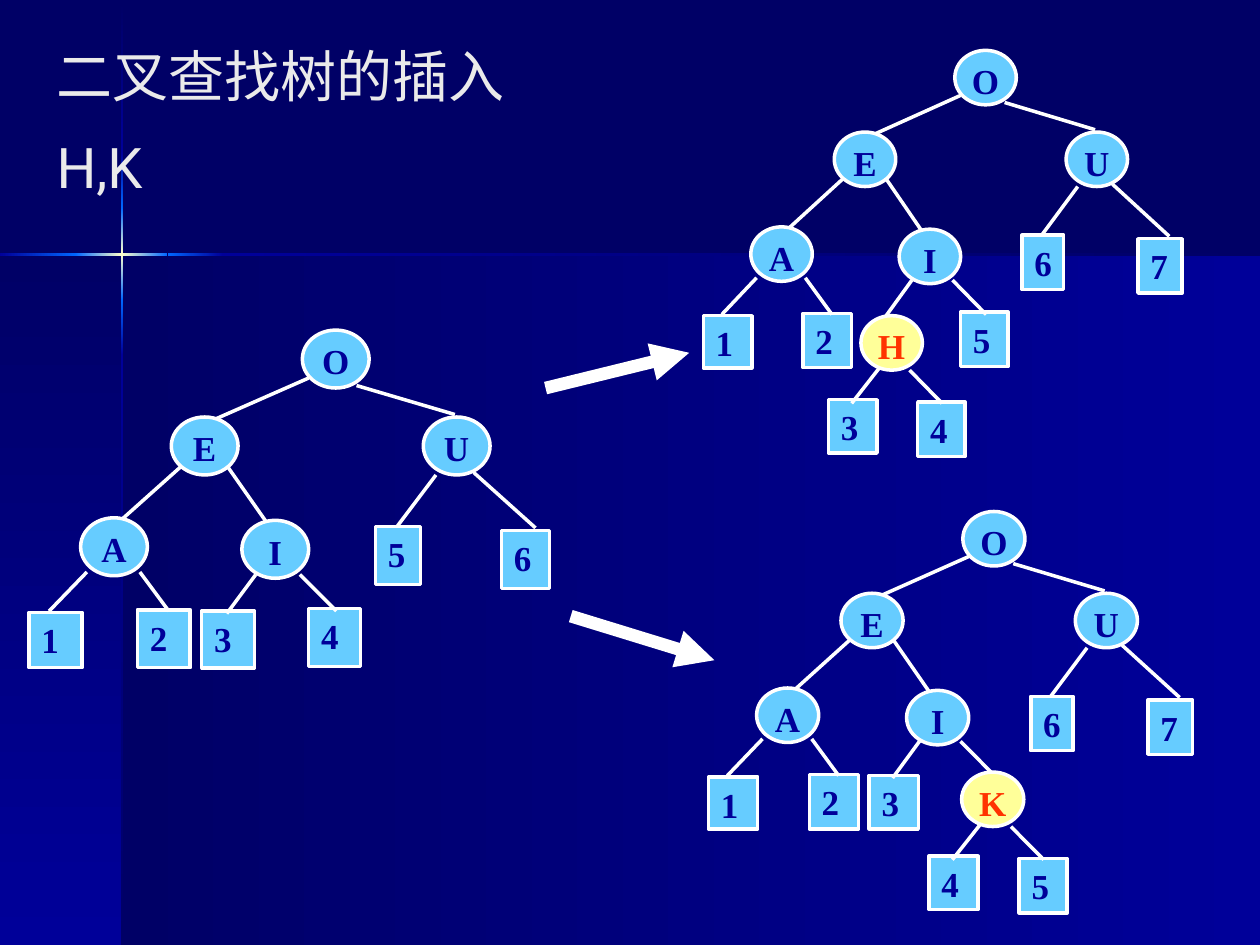
import lxml.etree
import pptx
import pptx.dml.color
import pptx.enum.shapes
import pptx.enum.text
import pptx.oxml.ns
import pptx.util

Inches = pptx.util.Inches
Pt = pptx.util.Pt
RGBColor = pptx.dml.color.RGBColor
SHAPE = pptx.enum.shapes.MSO_SHAPE
qn = pptx.oxml.ns.qn

NIGHT = RGBColor(0x00, 0x00, 0x66)
NAVY = RGBColor(0x00, 0x00, 0x99)
BLUE = RGBColor(0x00, 0x66, 0xFF)
CREAM = RGBColor(0xFF, 0xFF, 0xCC)
WHITE = RGBColor(0xFF, 0xFF, 0xFF)
PALE = RGBColor(0xEA, 0xEA, 0xEA)
SKY = RGBColor(0x66, 0xCC, 0xFF)
YELLOW = RGBColor(0xFF, 0xFF, 0x99)
RED = RGBColor(0xFF, 0x33, 0x00)

prs = pptx.Presentation()
prs.slide_width = Inches(10)
prs.slide_height = Inches(7.5)
slide = prs.slides.add_slide(prs.slide_layouts[6])
slide.background.fill.solid()
slide.background.fill.fore_color.rgb = NIGHT


def add_node(kind, box, label, fill, color):
    node = slide.shapes.add_shape(kind, *[Inches(v) for v in box])
    node.shadow.inherit = False
    node.fill.solid()
    node.fill.fore_color.rgb = fill
    node.line.color.rgb = WHITE
    node.line.width = Pt(2)
    frame = node.text_frame
    frame.vertical_anchor = pptx.enum.text.MSO_ANCHOR.TOP
    letter = frame.paragraphs[0]
    letter.text = label
    letter.alignment = pptx.enum.text.PP_ALIGN.LEFT
    if kind == SHAPE.OVAL:
        frame.margin_left = frame.margin_right = Inches(0.02)
        frame.margin_top = frame.margin_bottom = Inches(0.01)
        letter.alignment = pptx.enum.text.PP_ALIGN.CENTER
    letter.font.name = "Times New Roman"
    letter.font.size = Pt(20)
    letter.font.bold = True
    letter.font.color.rgb = color


def add_line(x1, y1, x2, y2, width):
    line = slide.shapes.add_connector(
        pptx.enum.shapes.MSO_CONNECTOR.STRAIGHT,
        Inches(x1), Inches(y1), Inches(x2), Inches(y2))
    line.line.color.rgb = WHITE
    line.line.width = Pt(width)
    lxml.etree.SubElement(line._element.spPr, qn("a:effectLst"))
    return line


GLOW = [BLUE, CREAM, BLUE]
backdrop = [
    (0.97, 2.02, 9.03, 5.48, [NIGHT, NAVY], 0),
    (0, 2.02, 0.97, 5.48, [NIGHT, NAVY], 90),
    (0.96, 0.01, 0.02, 1.2, [NIGHT, NAVY], 90),
    (0.96, 2.82, 0.02, 4.68, [NAVY, NIGHT], 90),
    (1.77, 2.01, 8.23, 0.02, [NAVY, NIGHT], 0),
    (0.96, 2.38, 0.02, 0.44, [BLUE, NAVY], 90),
    (0.96, 1.21, 0.02, 0.44, [NAVY, BLUE], 90),
    (0.96, 1.65, 0.02, 0.73, GLOW, 90),
    (0, 2.01, 0.61, 0.02, [NAVY, BLUE], 0),
    (1.33, 2.01, 0.44, 0.02, [BLUE, NAVY], 0),
    (0.6, 2.01, 0.73, 0.02, GLOW, 0),
]
for *box, colors, angle in backdrop:
    panel = slide.shapes.add_shape(SHAPE.RECTANGLE, *[Inches(v) for v in box])
    panel.shadow.inherit = False
    panel.line.fill.background()
    panel.fill.gradient()
    panel.fill.gradient_angle = -angle % 360
    stops = panel._element.spPr.find(".//" + qn("a:gsLst"))
    for stop in list(stops):
        stops.remove(stop)
    for i, color in enumerate(colors):
        stop = lxml.etree.SubElement(stops, qn("a:gs"), pos=str(100000 * i // (len(colors) - 1)))
        lxml.etree.SubElement(stop, qn("a:srgbClr"), val=str(color))

title = slide.shapes.add_textbox(Inches(0.35), Inches(0.17), Inches(9.25), Inches(2.04))
title.text_frame.word_wrap = True
title.text_frame.text = "二叉查找树的插入\nH,K"
for line in title.text_frame.paragraphs:
    line.line_spacing = 1.2
    line.space_before = Pt(6.4)
    line.font.name = "Roboto"
    line.font.size = Pt(32)
    line.font.color.rgb = PALE
    properties = line._p.get_or_add_pPr()
    properties.set("marL", str(Inches(0.38)))
    properties.set("indent", str(Inches(-0.38)))

leaf_boxes = [
    (0.23, 4.86, 0.42, 0.44),
    (1.09, 4.84, 0.42, 0.46),
    (1.6, 4.85, 0.42, 0.45),
    (2.45, 4.83, 0.41, 0.46),
    (2.98, 4.18, 0.36, 0.46),
    (3.98, 4.21, 0.38, 0.46),
]
inner_nodes = [("O", 2.4, 2.62), ("E", 1.36, 3.31), ("A", 0.64, 4.11),
               ("U", 3.36, 3.31), ("I", 1.92, 4.13)]
edges = [
    (2.45, 3, 1.7, 3.33), (2.83, 3.06, 3.61, 3.29),
    (1.44, 3.7, 0.97, 4.12), (1.79, 3.68, 2.14, 4.18),
    (3.46, 3.77, 3.15, 4.18), (3.76, 3.75, 4.25, 4.19),
    (0.69, 4.54, 0.39, 4.85), (1.11, 4.54, 1.34, 4.85),
    (2.03, 4.56, 1.8, 4.87), (2.38, 4.56, 2.67, 4.85),
]
child_offsets = [(-0.28, 0.71, 0.42, 0.45), (0.49, 0.73, 0.41, 0.46)]
child_edges = [(0.16, 0.44, -0.08, 0.74), (0.42, 0.46, 0.7, 0.74)]

trees = [
    (0, 2.62, 1, 1, None),
    (5.37, 0.4, 0.92, 0.94, ("H", 2, 1.59, 4.86)),
    (5.41, 4.06, 0.93, 0.94, ("K", 3, 2.39, 4.82)),
]
for left, top, scale_x, scale_y, inserted in trees:
    leaves = list(leaf_boxes)
    tree_edges = list(edges)
    ovals = [(*node, SKY, NAVY) for node in inner_nodes]
    if inserted:
        key, slot, x, y = inserted
        leaves[slot:slot + 1] = [(x + dx, y + dy, w, h) for dx, dy, w, h in child_offsets]
        tree_edges += [(x + a, y + b, x + c, y + d) for a, b, c, d in child_edges]
        ovals.append((key, x, y, YELLOW, RED))
    for number, (x, y, w, h) in enumerate(leaves, 1):
        box = (left + x * scale_x, top + (y - 2.62) * scale_y, w * scale_x, h * scale_y)
        add_node(SHAPE.RECTANGLE, box, str(number), SKY, NAVY)
    for x1, y1, x2, y2 in tree_edges:
        add_line(left + x1 * scale_x, top + (y1 - 2.62) * scale_y,
                 left + x2 * scale_x, top + (y2 - 2.62) * scale_y, 2)
    for key, x, y, fill, color in ovals:
        box = (left + x * scale_x, top + (y - 2.62) * scale_y, 0.53 * scale_x, 0.46 * scale_y)
        add_node(SHAPE.OVAL, box, key, fill, color)

for ends in [(4.33, 3.08, 5.47, 2.8), (4.53, 4.89, 5.67, 5.24)]:
    arrow = add_line(*ends, 7.25)
    lxml.etree.SubElement(arrow.line._get_or_add_ln(), qn("a:tailEnd"), type="triangle")

prs.save("out.pptx")
